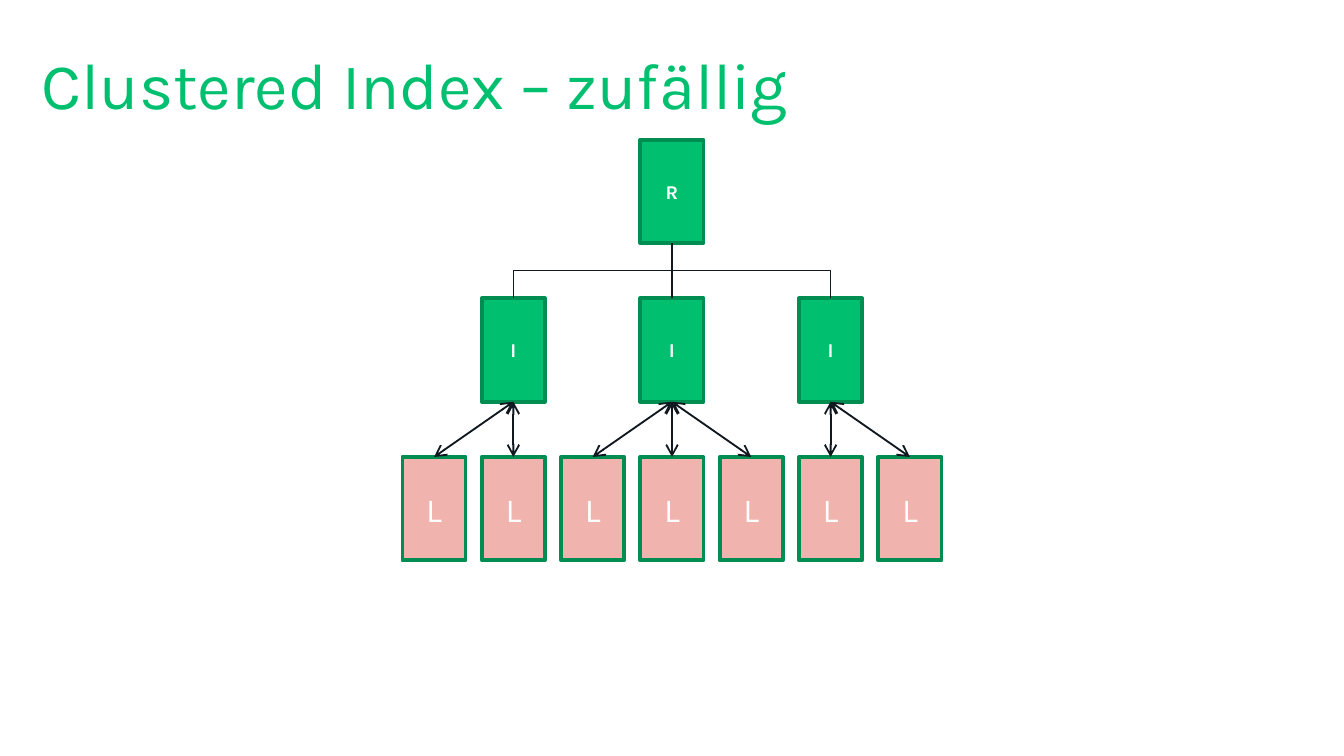
from typing import NamedTuple

from lxml import etree
from pptx import Presentation
from pptx.dml.color import RGBColor
from pptx.enum.shapes import MSO_CONNECTOR, MSO_SHAPE
from pptx.enum.text import MSO_ANCHOR, PP_ALIGN
from pptx.oxml.ns import qn
from pptx.util import Inches, Pt

GREEN = RGBColor(0x00, 0xBF, 0x6F)
EDGE = RGBColor(0x00, 0x8D, 0x52)
PINK = RGBColor(0xF1, 0xB3, 0xAD)
WHITE = RGBColor(0xFF, 0xFF, 0xFF)
INK = RGBColor(0x10, 0x18, 0x20)

RECT = MSO_SHAPE.RECTANGLE
STRAIGHT, ELBOW = MSO_CONNECTOR.STRAIGHT, MSO_CONNECTOR.ELBOW
LEFT, CENTER = PP_ALIGN.LEFT, PP_ALIGN.CENTER
MIDDLE = MSO_ANCHOR.MIDDLE

FONT = "Karla"
PAGE = Inches(10)
MID, TOP = 5, 1.04
WIDTH, HEIGHT = 0.47, 0.77
COL_STEP, ROW_STEP = 0.59, 1.18
BOTTOM_SIDE, TOP_SIDE = 2, 0


class Style(NamedTuple):
    fill: RGBColor
    size: float
    bold: bool


class Node(NamedTuple):
    label: str
    row: int
    col: int  # columns away from the root
    style: Style


class Branch(NamedTuple):
    node: Node
    leaves: list[Node]


INNER = Style(GREEN, 10.5, True)
LEAF = Style(PINK, 18, False)
ROOT = Node("R", 0, 0, INNER)
TREE = [
    Branch(Node("I", 1, col, INNER), [Node("L", 2, leaf, LEAF) for leaf in leaves])
    for col, leaves in ((-2, (-3, -2)), (0, (-1, 0, 1)), (2, (2, 3)))
]


def write(shape, text: str, *, size: float, color: RGBColor,
          bold: bool = False, align=CENTER) -> None:
    frame = shape.text_frame
    frame.vertical_anchor = MIDDLE
    frame.word_wrap = True
    para = frame.paragraphs[0]
    para.alignment = align
    run = para.add_run()
    run.text = text
    font = run.font
    font.name, font.size, font.bold = FONT, Pt(size), bold
    font.color.rgb = color


def center(node: Node) -> float:
    return MID + node.col * COL_STEP


def top(node: Node) -> float:
    return TOP + node.row * ROW_STEP


def draw_node(slide, node: Node):
    box = slide.shapes.add_shape(
        RECT, Inches(center(node) - WIDTH / 2), Inches(top(node)),
        Inches(WIDTH), Inches(HEIGHT))
    box.shadow.inherit = False
    box.fill.solid()
    box.fill.fore_color.rgb = node.style.fill
    box.line.color.rgb = EDGE
    box.line.width = Pt(2)
    write(box, node.label, size=node.style.size, color=WHITE, bold=node.style.bold)
    return box


def add_line(slide, kind, width: float):
    line = slide.shapes.add_connector(kind, 0, 0, 0, 0)
    line.line.color.rgb = INK
    line.line.width = Pt(width)
    etree.SubElement(line._element.spPr, qn("a:effectLst"))
    return line


def draw_arrow(slide, upper, lower) -> None:
    """Join two boxes with a line that has a head at both ends."""
    line = add_line(slide, STRAIGHT, 1)
    line.begin_connect(upper, BOTTOM_SIDE)
    line.end_connect(lower, TOP_SIDE)
    stroke = line._element.spPr.find(qn("a:ln"))
    for end in ("a:headEnd", "a:tailEnd"):
        etree.SubElement(stroke, qn(end), type="arrow")


def draw_elbow(slide, upper: Node, lower: Node) -> None:
    """Run down, across and down: a turned elbow around its own middle."""
    line = add_line(slide, ELBOW, 0.75)
    start = top(upper) + HEIGHT
    drop = top(lower) - start
    shift = center(lower) - center(upper)
    line.left = Inches(center(upper) + shift / 2 - drop / 2)
    line.top = Inches(start + drop / 2 - abs(shift) / 2)
    line.width, line.height = Inches(drop), Inches(abs(shift))
    form = line._element.spPr.find(qn("a:xfrm"))
    form.set("rot", str((270 if shift > 0 else 90) * 60000))
    if shift > 0:
        form.set("flipH", "1")


def draw_title(slide, text: str) -> None:
    title = slide.shapes.title
    title.left, title.top = Inches(0.31), Inches(0.31)
    title.width, title.height = Inches(9.37), Inches(0.62)
    frame = title.text_frame
    frame.margin_left = frame.margin_right = 0
    frame.margin_top = frame.margin_bottom = 0
    write(title, text, size=34.9, color=GREEN, align=LEFT)


def main() -> None:
    deck = Presentation()
    deck.slide_width, deck.slide_height = PAGE, PAGE * 9 // 16
    slide = deck.slides.add_slide(deck.slide_layouts[5])
    draw_title(slide, "Clustered Index – zufällig")

    root = draw_node(slide, ROOT)
    for node, leaves in TREE:
        inner = draw_node(slide, node)
        draw_elbow(slide, ROOT, node)
        for leaf in leaves:
            draw_arrow(slide, inner, draw_node(slide, leaf))
    deck.save("out.pptx")


if __name__ == "__main__":
    main()
